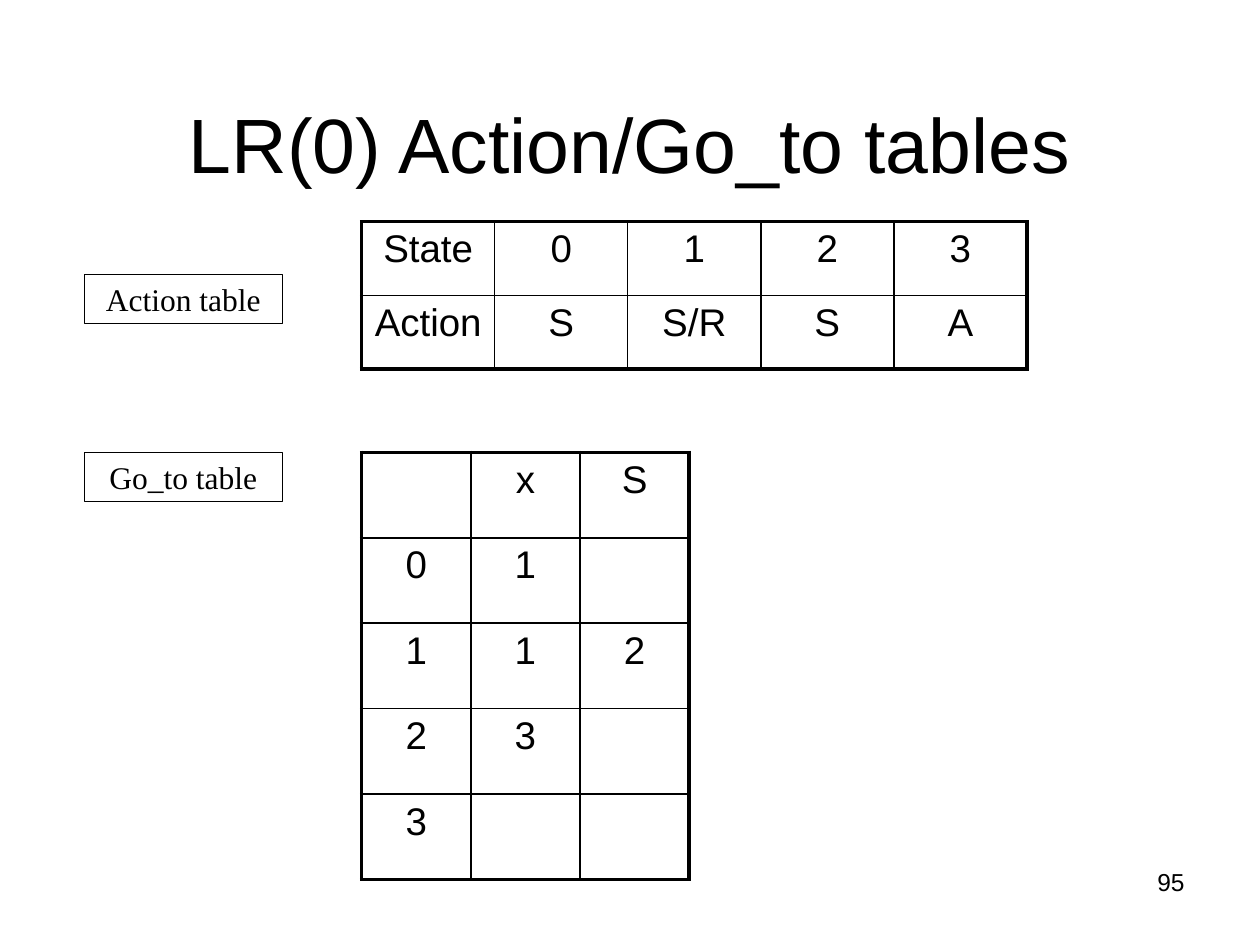
from lxml import etree
from pptx import Presentation
from pptx.dml.color import RGBColor
from pptx.enum.shapes import MSO_SHAPE
from pptx.enum.text import MSO_ANCHOR, PP_ALIGN
from pptx.oxml.ns import qn
from pptx.util import Inches, Pt

RECTANGLE = MSO_SHAPE.RECTANGLE
MIDDLE, BOTTOM = MSO_ANCHOR.MIDDLE, MSO_ANCHOR.BOTTOM
CENTER, RIGHT = PP_ALIGN.CENTER, PP_ALIGN.RIGHT
TITLE_ONLY = 5


def color(hex_string):
    return RGBColor.from_string(hex_string)


class TableSlide:
    INK, PAPER = "000000", "FFFFFF"
    SANS, SERIF = "Arial", "Times New Roman"
    INNER_BORDER, OUTER_BORDER = 1, 2.25

    def __init__(self, presentation):
        self.slide = presentation.slides.add_slide(presentation.slide_layouts[TITLE_ONLY])

    def add_text(self, text_frame, text, size, font=SANS, alignment=CENTER):
        paragraph = text_frame.paragraphs[0]
        paragraph.alignment = alignment
        run = paragraph.add_run()
        run.text = text
        run.font.size = Pt(size)
        run.font.name = font
        run.font.color.rgb = color(self.INK)

    def title(self, text, left, top, width, height):
        shape = self.slide.shapes.title
        shape.left, shape.top = Inches(left), Inches(top)
        shape.width, shape.height = Inches(width), Inches(height)
        shape.text_frame.vertical_anchor = BOTTOM
        self.add_text(shape.text_frame, text, 44)

    def page_number(self, text, left, top, width, height):
        shape = self.slide.shapes.add_textbox(
            Inches(left), Inches(top), Inches(width), Inches(height))
        shape.text_frame.word_wrap = True
        self.add_text(shape.text_frame, text, 14, alignment=RIGHT)

    def label(self, text, left, top, width=1.57, height=0.39):
        shape = self.slide.shapes.add_shape(
            RECTANGLE, Inches(left), Inches(top), Inches(width), Inches(height))
        shape.shadow.inherit = False
        shape.fill.solid()
        shape.fill.fore_color.rgb = color(self.PAPER)
        shape.line.color.rgb = color(self.INK)
        shape.line.width = Pt(0.75)
        shape.text_frame.word_wrap = False
        shape.text_frame.vertical_anchor = MIDDLE
        self.add_text(shape.text_frame, text, 18, self.SERIF)

    def border(self, cell, side, width):
        properties = cell._tc.get_or_add_tcPr()
        line = etree.SubElement(properties, qn(f"a:ln{side}"), w=str(Pt(width)))
        fill = etree.SubElement(line, qn("a:solidFill"))
        etree.SubElement(fill, qn("a:srgbClr"), val=self.INK)

    def table(self, rows, left, top, width, height):
        """Draw a grid of equal cells with a heavy outer frame."""
        row_count, column_count = len(rows), len(rows[0])
        frame = self.slide.shapes.add_table(
            row_count, column_count, Inches(left), Inches(top), Inches(width), Inches(height))
        table = frame.table
        table.first_row = table.horz_banding = False
        for row_index, row in enumerate(rows):
            for column_index, text in enumerate(row):
                cell = table.cell(row_index, column_index)
                on_edge = {
                    "L": column_index == 0,
                    "R": column_index == column_count - 1,
                    "T": row_index == 0,
                    "B": row_index == row_count - 1,
                }
                for side, is_outer in on_edge.items():
                    self.border(cell, side, self.OUTER_BORDER if is_outer else self.INNER_BORDER)
                cell.fill.background()
                if text:
                    self.add_text(cell.text_frame, text, 22)


def main():
    presentation = Presentation()
    presentation.slide_width, presentation.slide_height = Inches(10), Inches(7.5)

    page = TableSlide(presentation)
    page.title("LR(0) Action/Go_to tables", 0.5, 0.3, 9, 1.25)
    page.page_number("95", 7.17, 6.83, 2.33, 0.52)

    label_left, table_left = 0.67, 2.87
    action_rows = [
        ["State", "0", "1", "2", "3"],
        ["Action", "S", "S/R", "S", "A"],
    ]
    page.table(action_rows, table_left, 1.76, 5.28, 1.17)

    go_to_top = 3.59
    go_to_rows = [
        ["", "x", "S"],
        ["0", "1", ""],
        ["1", "1", "2"],
        ["2", "3", ""],
        ["3", "", ""],
    ]
    page.table(go_to_rows, table_left, go_to_top, 2.6, 3.39)

    page.label("Go_to table", label_left, go_to_top)
    page.label("Action table", label_left, 2.18)

    presentation.save("out.pptx")


if __name__ == "__main__":
    main()
